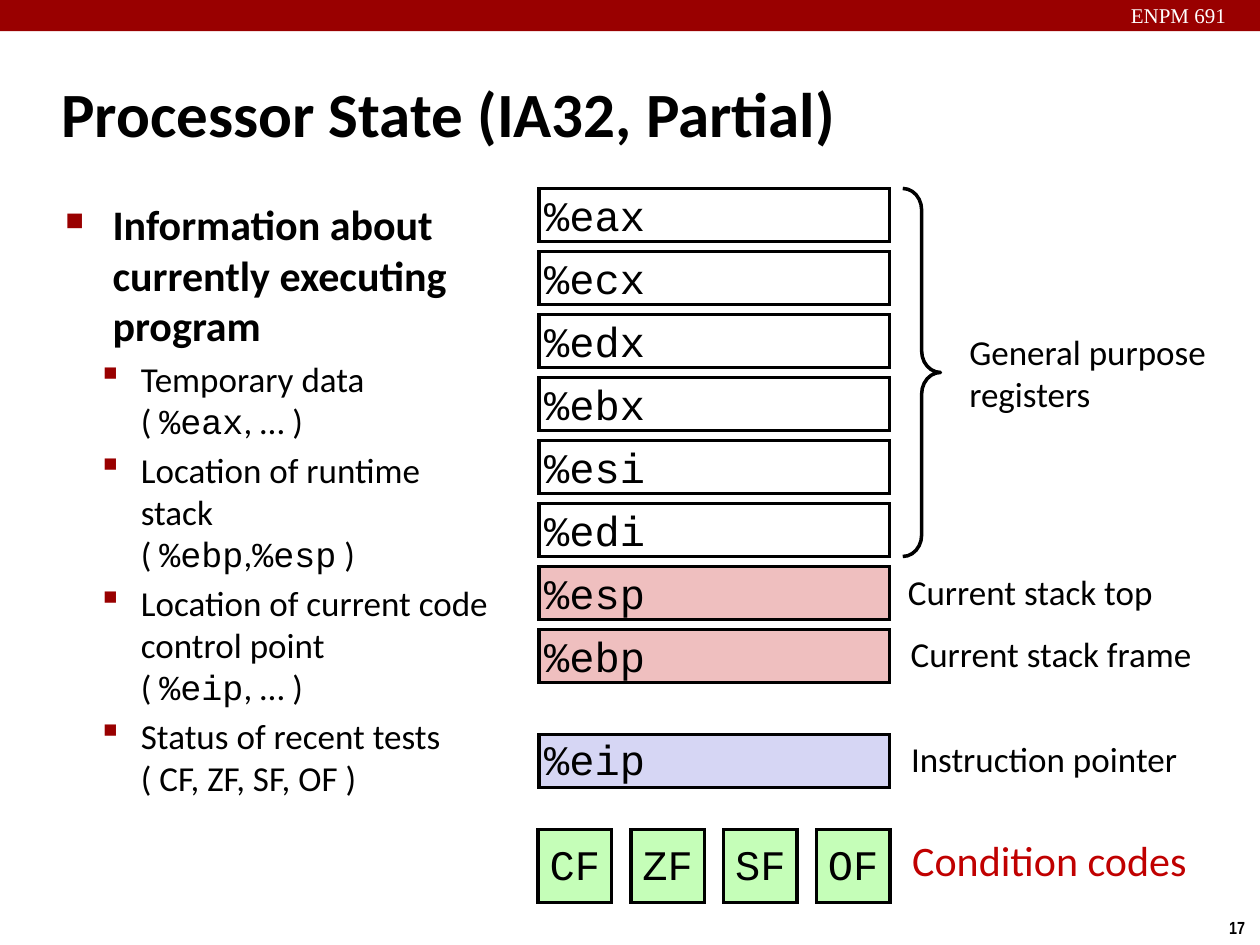
from dataclasses import dataclass

from lxml.etree import SubElement
from pptx import Presentation
from pptx.dml.color import RGBColor as Color
from pptx.enum.shapes import MSO_SHAPE as Shape
from pptx.enum.text import MSO_ANCHOR as Anchor, PP_ALIGN as Align
from pptx.oxml.ns import qn
from pptx.util import Cm, Pt


@dataclass(frozen=True)
class Theme:
    black: str = "000000"
    white: str = "FFFFFF"
    maroon: str = "990000"
    red: str = "C00000"
    pink: str = "EFBFBF"
    lavender: str = "D6D6F4"
    green: str = "C5FEB8"
    sans: str = "Calibri"
    mono: str = "Courier New"
    serif: str = "Times New Roman"
    narrow: str = "Arial Narrow"
    symbols: str = "Wingdings"
    title: int = 36
    large: int = 24
    body: int = 20
    header: int = 12
    page: int = 10


class SlideBuilder:
    def __init__(self, slide, theme):
        self.slide = slide
        self.theme = theme

    def style(self, paragraph, size, name=None, color=None, bold=False):
        font = paragraph.font
        font.size = Pt(size)
        font.name = name or self.theme.sans
        font.bold = bold
        font.color.rgb = Color.from_string(color or self.theme.black)

    def inset(self, frame, sides=0.1, ends=0.1):
        frame.margin_left = frame.margin_right = Cm(sides)
        frame.margin_top = frame.margin_bottom = Cm(ends)

    def shape(self, kind, box, fill=None, line=None):
        shape = self.slide.shapes.add_shape(kind, *map(Cm, box))
        shape.shadow.inherit = False
        if fill:
            shape.fill.solid()
            shape.fill.fore_color.rgb = Color.from_string(fill)
        else:
            shape.fill.background()
        if line:
            shape.line.color.rgb = Color.from_string(line)
            shape.line.width = Pt(2)
        else:
            shape.line.fill.background()
        return shape

    def register(self, name, box, fill, align=Align.LEFT, spacing=None):
        shape = self.shape(Shape.RECTANGLE, box, fill, self.theme.black)
        SubElement(shape.line._get_or_add_ln(), qn("a:miter"), lim="800000")
        frame = shape.text_frame
        frame.vertical_anchor = Anchor.MIDDLE
        self.inset(frame)
        paragraph = frame.paragraphs[0]
        paragraph.text = name
        paragraph.alignment = align
        paragraph.line_spacing = spacing
        self.style(paragraph, self.theme.large, self.theme.mono)

    def text(self, lines, box, size, wrap=False, align=Align.LEFT, **font):
        frame = self.slide.shapes.add_textbox(*map(Cm, box)).text_frame
        frame.word_wrap = wrap
        self.inset(frame)
        for index, line in enumerate(lines):
            paragraph = frame.add_paragraph() if index else frame.paragraphs[0]
            paragraph.text = line
            paragraph.alignment = align
            self.style(paragraph, size, **font)
        return frame

    def brace(self, box, curve):
        shape = self.shape(Shape.RIGHT_BRACE, box, line=self.theme.black)
        shape.adjustments[0] = curve

    def bullet(self, paragraph, character, percent, margin, indent):
        properties = paragraph._p.get_or_add_pPr()
        properties.set("marL", str(Cm(margin)))
        properties.set("indent", str(Cm(-indent)))
        color = SubElement(properties, qn("a:buClr"))
        SubElement(color, qn("a:srgbClr"), val=self.theme.maroon)
        SubElement(properties, qn("a:buSzPct"), val=str(percent * 1000))
        SubElement(properties, qn("a:buFont"), typeface=self.theme.symbols, charset="2")
        SubElement(properties, qn("a:buChar"), char=character)

    def outline(self, heading, items, box):
        frame = self.slide.shapes.add_textbox(*map(Cm, box)).text_frame
        frame.word_wrap = True
        self.inset(frame, 0.25, 0.13)
        paragraph = frame.paragraphs[0]
        paragraph.text = heading
        self.bullet(paragraph, "n", 60, 0.95, 0.95)
        paragraph.space_before = Pt(self.theme.large * 0.2)
        self.style(paragraph, self.theme.large, bold=True)
        for topic, details in items:
            paragraph = frame.add_paragraph()
            paragraph.level = 1
            self.bullet(paragraph, "§", 110, 1.52, 0.79)
            paragraph.space_before = Pt(self.theme.body * 0.2)
            self.style(paragraph, self.theme.body)
            paragraph.add_run().text = topic
            paragraph.add_line_break()
            for detail in details:
                run = paragraph.add_run()
                run.text = detail
                if detail.startswith("%"):
                    run.font.name = self.theme.mono


def main():
    presentation = Presentation()
    presentation.slide_width, presentation.slide_height = Cm(25.4), Cm(19.05)
    theme = Theme()
    slide = presentation.slides.add_slide(presentation.slide_layouts[6])
    builder = SlideBuilder(slide, theme)

    builder.shape(Shape.RECTANGLE, (0, 0, 25.4, 0.63), theme.maroon)
    header = builder.text(["ENPM 691"], (21.94, -0.08, 3.63, 0.76), theme.header,
                          wrap=True, align=Align.CENTER, name=theme.serif, color=theme.white)
    builder.inset(header, 0.25, 0.13)
    page = builder.text(["17"], (24.51, 18.36, 0.86, 0.69), theme.page,
                        align=Align.CENTER, name=theme.narrow, bold=True)
    builder.inset(page, 0.25, 0.13)

    title = builder.text(["Processor State (IA32, Partial)"], (0.99, 1.2, 21.08, 2.11),
                         theme.title, wrap=True, bold=True)
    title.vertical_anchor = Anchor.MIDDLE
    builder.inset(title, 0.25, 0.13)

    builder.outline("Information about currently executing program", [
        ("Temporary data", ["( ", "%eax", ", … )"]),
        ("Location of runtime stack", ["( ", "%ebp", ",", "%esp", " )"]),
        ("Location of current code control point", ["( ", "%eip", ", … )"]),
        ("Status of recent tests", ["( CF, ZF, SF, OF )"]),
    ], (1.07, 3.88, 9.15, 15.09))

    left, top, width, height, pitch = 10.87, 3.8, 7.06, 1.07, 1.27
    general = ["%eax", "%ecx", "%edx", "%ebx", "%esi", "%edi"]
    stack = ["%esp", "%ebp"]
    for row, name in enumerate(general + stack):
        fill = theme.pink if name in stack else theme.white
        builder.register(name, (left, top + row * pitch, width, height), fill)
    builder.register("%eip", (left, 14.81, width, height), theme.lavender, spacing=0.95)

    for column, flag in enumerate(["CF", "ZF", "SF", "OF"]):
        builder.register(flag, (10.85 + column * 1.87, 16.72, 1.48, 1.48),
                         theme.green, Align.CENTER, 0.95)

    builder.brace((18.2, top, 0.76, 5 * pitch + height), 0.57)
    builder.text(["General purpose", "registers"], (19.44, 6.57, 5.11, 1.91), theme.body)
    for label, x, y, label_width in [
        ("Current stack top", 18.13, 11.4, 5.28),
        ("Current stack frame", 18.18, 12.65, 6.02),
        ("Instruction pointer", 18.18, 14.76, 5.74),
    ]:
        builder.text([label], (x, y, label_width, 1.07), theme.body, align=Align.CENTER)
    builder.text(["Condition codes"], (18.29, 16.72, 7.37, 1.24), theme.large,
                 wrap=True, color=theme.red)

    presentation.save("out.pptx")


if __name__ == "__main__":
    main()
